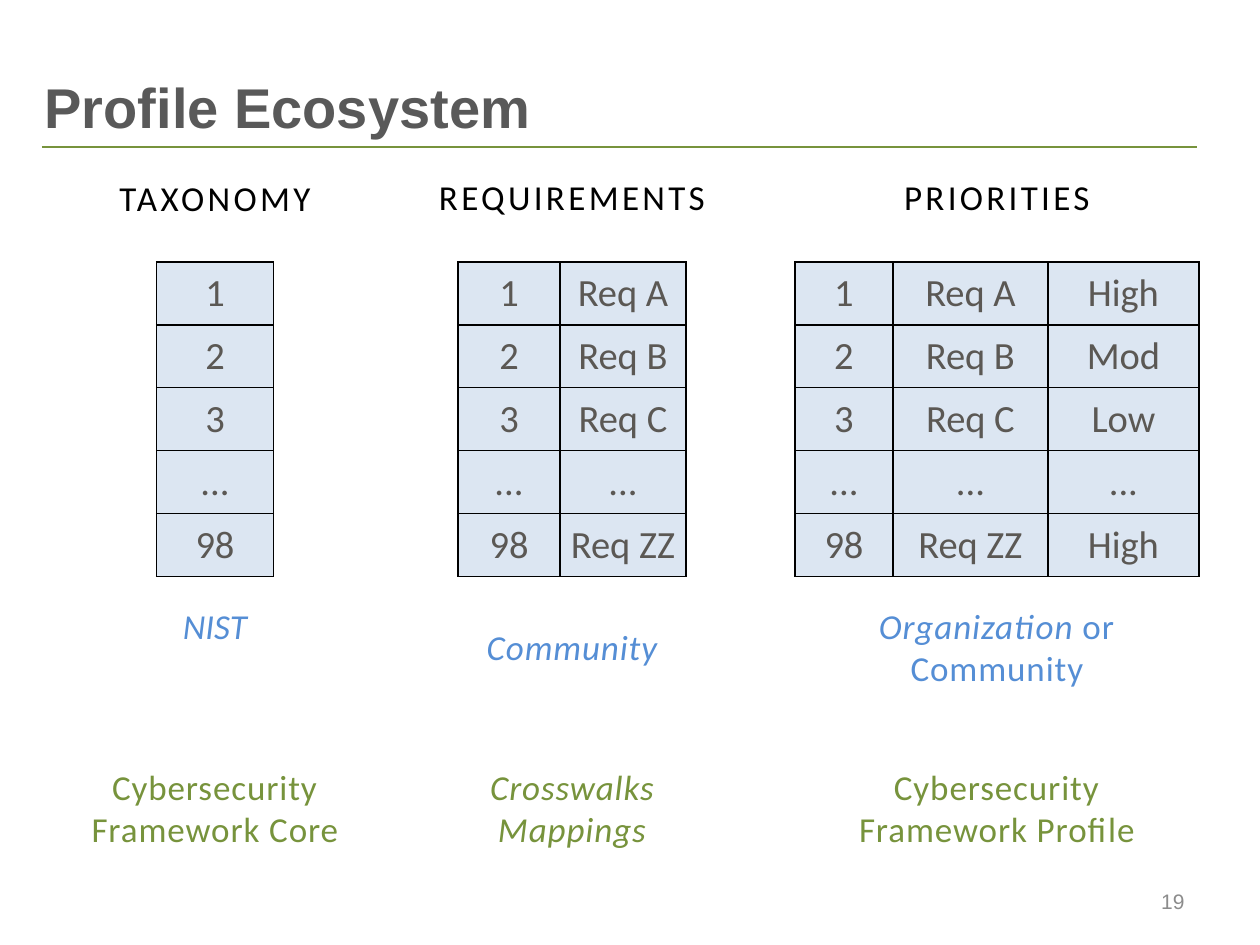
from pptx import Presentation
from pptx.dml.color import RGBColor
from pptx.enum.shapes import MSO_CONNECTOR
from pptx.enum.text import MSO_ANCHOR as ANCHOR, MSO_AUTO_SIZE as FIT, PP_ALIGN as ALIGN
from pptx.oxml import parse_xml
from pptx.oxml.ns import nsdecls
from pptx.util import Emu, Pt

BLACK, GREY, BLUE, GREEN = "000000", "595959", "558ED5", "77933C"
CELL_TEXT, CELL_FILL, NUMBER_GREY = "5B5854", "DCE6F2", "8C8C8C"
INSET, TABLE_TOP, ROW_H = 8, 262, 61
NUMBERS = ["1", "2", "3", "...", "98"]
REQS = ["Req A", "Req B", "Req C", "...", "Req ZZ"]
LEVELS = ["High", "Mod", "Low", "...", "High"]

# Each label: top, width, height, anchor, colour, spacing, paragraphs of (text, italic)
COLUMNS = [
    dict(center=215, widths=[117], values=[NUMBERS], labels=[
        (168, 276, 69, ANCHOR.TOP, BLACK, 1.9, [[("TAXONOMY", False)]]),
        (597, 336, 111, ANCHOR.TOP, BLUE, 0, [[("NIST", True)]]),
        (758, 308, 100, ANCHOR.MIDDLE, GREEN, 0.5, [[("Cybersecurity Framework Core", False)]]),
    ]),
    dict(center=572, widths=[102, 126], values=[NUMBERS, REQS], labels=[
        (168, 312, 57, ANCHOR.BOTTOM, BLACK, 1.9, [[("REQUIREMENTS", False)]]),
        (618, 315, 57, ANCHOR.MIDDLE, BLUE, 0.5, [[("Community", True)]]),
        (758, 285, 100, ANCHOR.MIDDLE, GREEN, 0.5, [[("Crosswalks", True)], [("Mappings", True)]]),
    ]),
    dict(center=997, widths=[98, 155, 151], values=[NUMBERS, REQS, LEVELS], labels=[
        (168, 314, 57, ANCHOR.BOTTOM, BLACK, 1.9, [[("PRIORITIES", False)]]),
        (597, 280, 100, ANCHOR.MIDDLE, BLUE, 0.5, [[("Organization", True), (" or Community", False)]]),
        (758, 377, 100, ANCHOR.MIDDLE, GREEN, 0.5, [[("Cybersecurity Framework Profile", False)]]),
    ]),
]


def px(n):
    return Emu(round(n * 914400 / 126))


def rgb(color):
    return RGBColor.from_string(color)


def style(font, name, size, color, bold=False, italic=False):
    font.name, font.size, font.bold, font.italic = name, Pt(size), bold, italic
    font.color.rgb = rgb(color)


def set_insets(target):
    target.margin_left = target.margin_right = px(INSET)
    target.margin_top = target.margin_bottom = px(INSET)


def add_box(s, x, y, w, h, anchor):
    tf = s.shapes.add_textbox(px(x), px(y), px(w), px(h)).text_frame
    tf.word_wrap = True
    tf.auto_size = FIT.NONE
    tf.vertical_anchor = anchor
    return tf


def add_label(s, center, top, width, height, anchor, color, spacing, paragraphs):
    tf = add_box(s, center - width / 2, top, width, height, anchor)
    set_insets(tf)
    for i, runs in enumerate(paragraphs):
        p = tf.add_paragraph() if i else tf.paragraphs[0]
        p.alignment = ALIGN.CENTER
        for text, italic in runs:
            r = p.add_run()
            r.text = text
            style(r.font, "Calibri", 20, color, italic=italic)
            r.font._element.set("spc", str(round(spacing * 100)))


def set_borders(cell):
    pr = cell._tc.get_or_add_tcPr()
    for i, side in enumerate(("lnL", "lnR", "lnT", "lnB")):
        pr.insert(i, parse_xml(
            f'<a:{side} {nsdecls("a")} w="12700"><a:solidFill>'
            f'<a:srgbClr val="{BLACK}"/></a:solidFill></a:{side}>'))


def add_grid(s, center, widths, values):
    rows, total = len(values[0]), sum(widths)
    table = s.shapes.add_table(rows, len(widths), px(center - total / 2), px(TABLE_TOP),
                               px(total), px(rows * ROW_H)).table
    table.first_row = table.horz_banding = False
    for row in table.rows:
        row.height = px(ROW_H)
    for c, (width, column) in enumerate(zip(widths, values)):
        table.columns[c].width = px(width)
        for r, text in enumerate(column):
            cell = table.cell(r, c)
            cell.text = text
            cell.vertical_anchor = ANCHOR.MIDDLE
            set_insets(cell)
            cell.fill.solid()
            cell.fill.fore_color.rgb = rgb(CELL_FILL)
            set_borders(cell)
            p = cell.text_frame.paragraphs[0]
            p.alignment = ALIGN.CENTER
            style(p.runs[0].font, "Calibri", 22, CELL_TEXT)


def main():
    prs = Presentation()
    prs.slide_width, prs.slide_height = px(1260), px(945)
    s = prs.slides.add_slide(prs.slide_layouts[5])

    title = s.shapes.title
    title.left, title.top, title.width, title.height = px(32), px(42), px(1212), px(104)
    tf = title.text_frame
    tf.text = "Profile Ecosystem"
    tf.auto_size = FIT.NONE
    tf.vertical_anchor = ANCHOR.BOTTOM
    p = tf.paragraphs[0]
    p.alignment = ALIGN.LEFT
    p.line_spacing = Pt(26)
    style(p.runs[0].font, "Arial", 32, GREY, bold=True)

    rule = s.shapes.add_connector(MSO_CONNECTOR.STRAIGHT, px(42), px(147), px(1197), px(147))
    rule.line.color.rgb = rgb(GREEN)
    rule.line.width = Pt(0.75)
    rule._element.spPr.append(parse_xml(f'<a:effectLst {nsdecls("a")}/>'))

    for column in COLUMNS:
        add_grid(s, column["center"], column["widths"], column["values"])
        for label in column["labels"]:
            add_label(s, column["center"], *label)

    tf = add_box(s, 903, 876, 294, 50, ANCHOR.MIDDLE)
    tf.text = "19"
    p = tf.paragraphs[0]
    p.alignment = ALIGN.RIGHT
    style(p.runs[0].font, "Arial", 12, NUMBER_GREY)

    prs.save("out.pptx")


if __name__ == "__main__":
    main()
